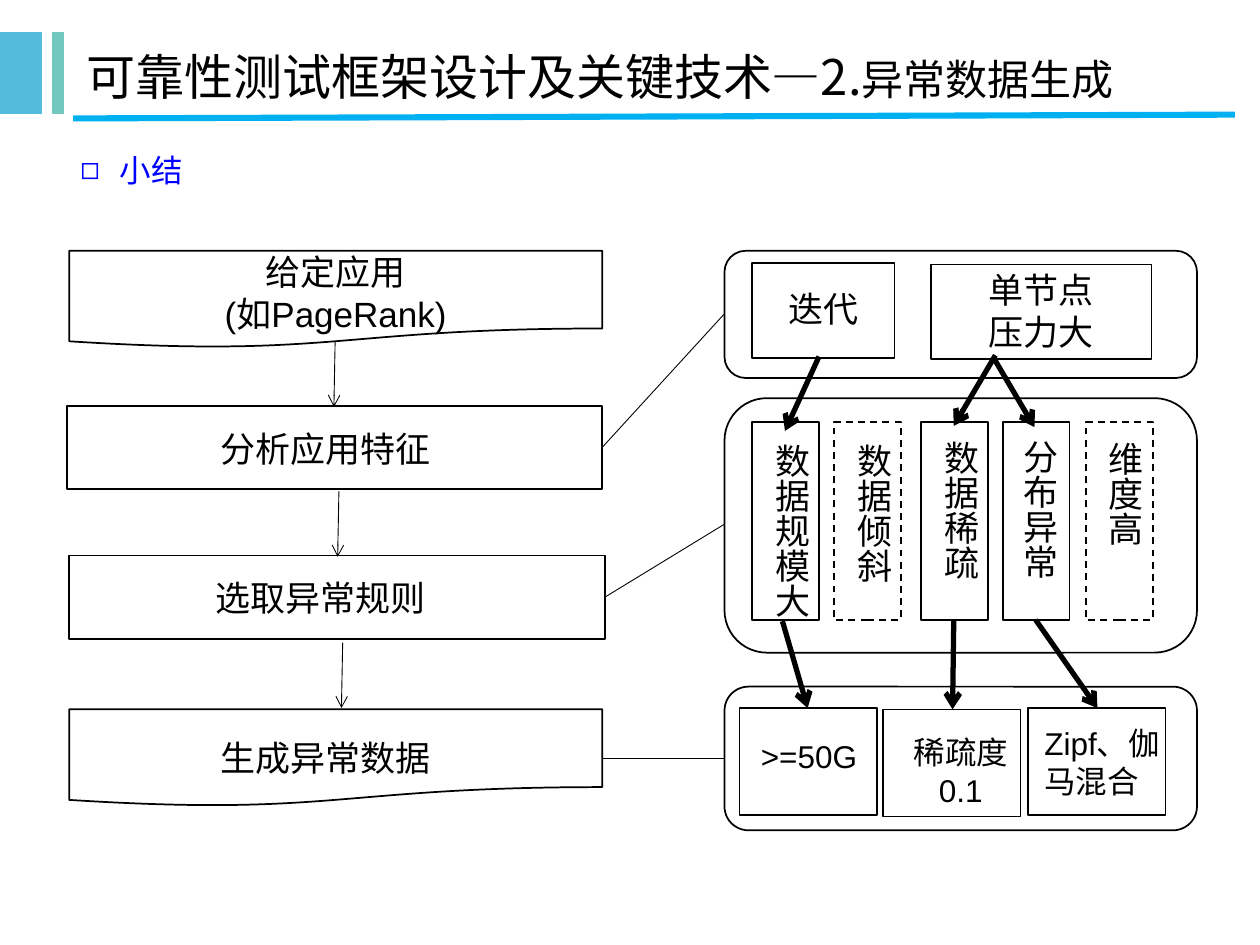
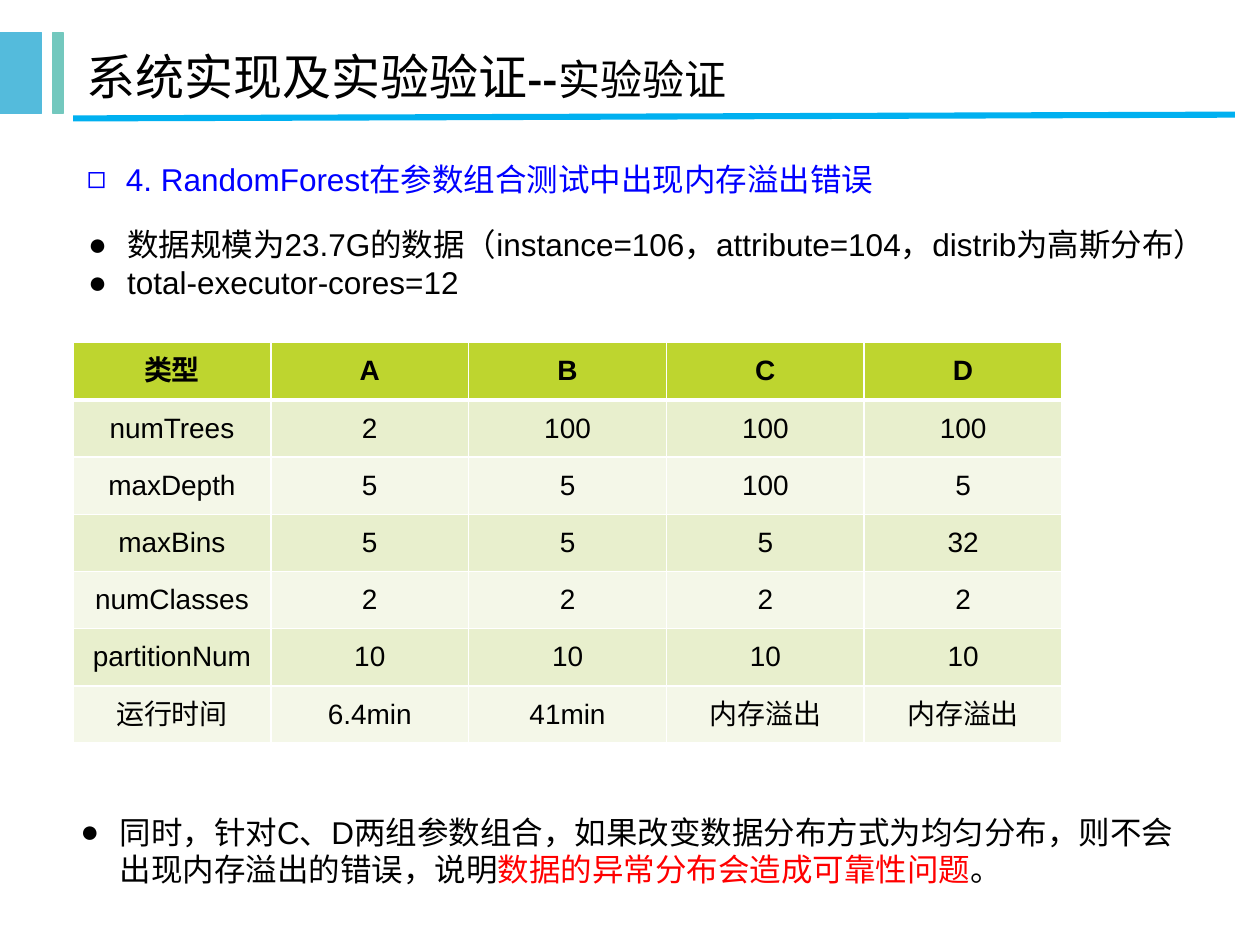
from lxml import etree
from pptx import Presentation
from pptx.dml.color import RGBColor
from pptx.enum.dml import MSO_LINE
from pptx.enum.shapes import MSO_CONNECTOR, MSO_SHAPE
from pptx.enum.text import MSO_ANCHOR, MSO_AUTO_SIZE, PP_ALIGN
from pptx.oxml.ns import qn
from pptx.util import Inches, Pt

RECT = MSO_SHAPE.RECTANGLE
ROUND_RECT = MSO_SHAPE.ROUNDED_RECTANGLE
DOCUMENT = MSO_SHAPE.FLOWCHART_DOCUMENT
ALTERNATE = MSO_SHAPE.FLOWCHART_ALTERNATE_PROCESS
STRAIGHT = MSO_CONNECTOR.STRAIGHT
DASH = MSO_LINE.DASH
MIDDLE, TOP = MSO_ANCHOR.MIDDLE, MSO_ANCHOR.TOP
LEFT, CENTER = PP_ALIGN.LEFT, PP_ALIGN.CENTER
NO_FIT = MSO_AUTO_SIZE.NONE

BLACK, WHITE, BLUE, RED = "000000", "FFFFFF", "0000FF", "FF0000"
BAND_BLUE, BAND_TEAL, RULE_BLUE = "54BBDC", "73C8BE", "00B0F0"
HEADER_GREEN, ROW_DARK, ROW_LIGHT = "BED52F", "E8EFCD", "F4F7E8"
BODY_FONT, TITLE_FONT = "Arial", "Noto Sans CJK SC"
HOLLOW, DOT = "◻", "●"


def rgb(value):
    return RGBColor.from_string(value)


def format_run(run, size=18, color=BLACK, bold=False, font=BODY_FONT):
    run.font.size = Pt(size)
    run.font.bold = bold
    run.font.color.rgb = rgb(color)
    run.font.name = font
    etree.SubElement(run._r.get_or_add_rPr(), qn("a:ea"), typeface=font)


def add_bullet(paragraph, symbol):
    properties = paragraph._p.get_or_add_pPr()
    properties.set("marL", str(Inches(0.31)))
    properties.set("indent", str(Inches(-0.31)))
    etree.SubElement(properties, qn("a:buFont"), typeface=BODY_FONT)
    etree.SubElement(properties, qn("a:buChar"), char=symbol)


def write(frame, paragraphs, align=LEFT, anchor=TOP, bullet=None, **style):
    frame.word_wrap = True
    frame.vertical_anchor = anchor
    for index, content in enumerate(paragraphs):
        paragraph = frame.paragraphs[0] if index == 0 else frame.add_paragraph()
        paragraph.alignment = align
        if bullet:
            add_bullet(paragraph, bullet)
        runs = [(content, {})] if isinstance(content, str) else content
        for words, changes in runs:
            run = paragraph.add_run()
            run.text = words
            format_run(run, **{**style, **changes})


def set_borders(cell, **widths):
    properties = cell._tc.get_or_add_tcPr()
    for position, side in enumerate("LRTB"):
        border = etree.Element(qn(f"a:ln{side}"), w=str(Pt(widths.get(side, 1))))
        fill = etree.SubElement(border, qn("a:solidFill"))
        etree.SubElement(fill, qn("a:srgbClr"), val=WHITE)
        properties.insert(position, border)


class Deck:
    def __init__(self):
        self.presentation = Presentation()
        self.presentation.slide_width = Inches(10)
        self.presentation.slide_height = Inches(7.5)
        self.slide = None

    def start(self, title_runs):
        self.slide = self.presentation.slides.add_slide(self.presentation.slide_layouts[5])
        self.outline(RECT, 0, 0.26, 0.33, 0.64, line=BAND_BLUE, width=0.75, fill=BAND_BLUE)
        self.outline(RECT, 0.42, 0.26, 0.08, 0.64, line=BAND_TEAL, width=0.75, fill=BAND_TEAL)
        title = self.slide.shapes.title
        title.left, title.top = Inches(0.59), Inches(0.26)
        title.width, title.height = Inches(8.91), Inches(0.69)
        title.text_frame.auto_size = NO_FIT
        write(title.text_frame, [title_runs], anchor=MIDDLE, size=28, font=TITLE_FONT)
        self.connect((0.58, 0.94), (9.8, 0.91), width=3.5, color=RULE_BLUE)

    def outline(self, preset, x, y, w, h, line=BLACK, width=1, fill=None, dash=None):
        shape = self.slide.shapes.add_shape(preset, Inches(x), Inches(y), Inches(w), Inches(h))
        shape.shadow.inherit = False
        if fill:
            shape.fill.solid()
            shape.fill.fore_color.rgb = rgb(fill)
        else:
            shape.fill.background()
        shape.line.color.rgb = rgb(line)
        shape.line.width = Pt(width)
        if dash:
            shape.line.dash_style = dash

    def text(self, x, y, w, h, *paragraphs, vertical=False, **style):
        box = self.slide.shapes.add_textbox(Inches(x), Inches(y), Inches(w), Inches(h))
        write(box.text_frame, paragraphs, **style)
        if vertical:
            box.text_frame._txBody.bodyPr.set("vert", "eaVert")

    def connect(self, start, end, width=0.5, color=BLACK, arrow=False):
        points = [Inches(value) for value in (*start, *end)]
        connector = self.slide.shapes.add_connector(STRAIGHT, *points)
        connector.line.color.rgb = rgb(color)
        connector.line.width = Pt(width)
        properties = connector._element.spPr
        if arrow:
            etree.SubElement(properties.find(qn("a:ln")), qn("a:tailEnd"), type="arrow")
        etree.SubElement(properties, qn("a:effectLst"))

    def table(self, x, y, w, h, rows):
        frame = self.slide.shapes.add_table(
            len(rows), len(rows[0]), Inches(x), Inches(y), Inches(w), Inches(h))
        for r, values in enumerate(rows):
            fill = HEADER_GREEN if r == 0 else ROW_DARK if r % 2 else ROW_LIGHT
            for c, value in enumerate(values):
                cell = frame.table.cell(r, c)
                cell.fill.solid()
                cell.fill.fore_color.rgb = rgb(fill)
                cell.vertical_anchor = MIDDLE
                write(cell.text_frame, [value], align=CENTER, anchor=MIDDLE, size=16, bold=r == 0)
                set_borders(cell, T=3 if r == 1 else 1, B=3 if r == 0 else 1)


def build_summary(deck):
    deck.start([("可靠性测试框架设计及关键技术—2.", {}), ("异常数据生成", {"size": 24})])
    deck.text(0.54, 1.15, 7.52, 0.4, "小结", color=BLUE, bullet=HOLLOW)

    for preset, x, y, h in [(DOCUMENT, 0.55, 1.99, 0.77), (RECT, 0.53, 3.22, 0.66),
                            (RECT, 0.55, 4.41, 0.66), (DOCUMENT, 0.55, 5.63, 0.77)]:
        deck.outline(preset, x, y, 4.23 if preset == DOCUMENT else 4.25, h)
    deck.text(0.76, 1.94, 3.81, 0.77, "给定应用", "(如PageRank)", size=20, align=CENTER)
    for step, x, y in [("分析应用特征", 1.65, 3.34), ("选取异常规则", 1.61, 4.53),
                       ("生成异常数据", 1.65, 5.8)]:
        deck.text(x, y, 2.32, 0.43, step, size=20)
    for x, y in [(2.66, 2.71), (2.69, 3.9), (2.72, 5.1)]:
        deck.connect((x, y), (x - 0.01, y + 0.52), arrow=True)

    for preset, y, h in [(ALTERNATE, 1.99, 1.01), (ALTERNATE, 3.16, 2.02),
                         (ROUND_RECT, 5.45, 1.14)]:
        deck.outline(preset, 5.75, y, 3.75, h)
    for start, end_y in [((4.78, 3.55), 2.49), ((4.8, 4.74), 4.16), ((4.78, 6.02), 6.02)]:
        deck.connect(start, (5.75, end_y))

    deck.outline(RECT, 5.97, 2.09, 1.13, 0.75)
    deck.text(5.97, 2.23, 1.13, 0.44, "迭代", size=20, align=CENTER)
    deck.outline(RECT, 7.39, 2.1, 1.75, 0.75)
    deck.text(7.6, 2.08, 1.32, 0.77, "单节点", "压力大", size=20, align=CENTER)

    for rule, x, text_x, text_y, dash in [
            ("数据规模大", 5.97, 5.97, 3.42, None), ("数据倾斜", 6.62, 6.62, 3.42, DASH),
            ("数据稀疏", 7.31, 7.31, 3.4, None), ("分布异常", 7.96, 7.94, 3.39, None),
            ("维度高", 8.62, 8.61, 3.41, DASH)]:
        deck.outline(RECT, x, 3.35, 0.53, 1.57, dash=dash)
        deck.text(text_x, text_y, 0.53, 1.6, rule, size=20, vertical=True)

    for x, y in [(5.87, 5.62), (7.01, 5.63), (8.16, 5.62)]:
        deck.outline(RECT, x, y, 1.09, 0.85)
    deck.text(5.94, 5.8, 1.07, 0.4, ">=50G")
    deck.text(7.12, 5.77, 1.01, 0.7, "稀疏度", "0.1", align=CENTER)
    deck.text(8.19, 5.7, 1.31, 0.7, "Zipf、伽马混合")

    for start, end in [((6.5, 2.83), (6.23, 3.42)), ((7.9, 2.82), (7.57, 3.38)),
                       ((7.88, 2.83), (8.21, 3.39)), ((6.21, 4.93), (6.41, 5.62)),
                       ((7.57, 4.92), (7.56, 5.63)), ((8.22, 4.92), (8.71, 5.62))]:
        deck.connect(start, end, width=3, arrow=True)


def build_experiment(deck):
    deck.start([("系统实现及实验验证", {}), ("--", {"size": 24, "bold": True}),
                ("实验验证", {"size": 24})])
    deck.text(0.59, 1.22, 7.52, 0.4, "4. RandomForest在参数组合测试中出现内存溢出错误",
              color=BLUE, bullet=HOLLOW)
    deck.text(0.6, 1.74, 9.21, 0.7,
              "数据规模为23.7G的数据（instance=106，attribute=104，distrib为高斯分布）",
              "total-executor-cores=12", bullet=DOT)
    deck.table(0.58, 2.72, 7.85, 3.18, [
        ("类型", "A", "B", "C", "D"),
        ("numTrees", "2", "100", "100", "100"),
        ("maxDepth", "5", "5", "100", "5"),
        ("maxBins", "5", "5", "5", "32"),
        ("numClasses", "2", "2", "2", "2"),
        ("partitionNum", "10", "10", "10", "10"),
        ("运行时间", "6.4min", "41min", "内存溢出", "内存溢出"),
    ])
    deck.text(0.54, 6.4, 8.91, 0.7, [
        ("同时，针对C、D两组参数组合，如果改变数据分布方式为均匀分布，"
         "则不会出现内存溢出的错误，说明", {}),
        ("数据的异常分布会造成可靠性问题", {"color": RED}),
        ("。", {}),
    ], bullet=DOT)


def main():
    deck = Deck()
    build_summary(deck)
    build_experiment(deck)
    deck.presentation.save("out.pptx")


if __name__ == "__main__":
    main()
